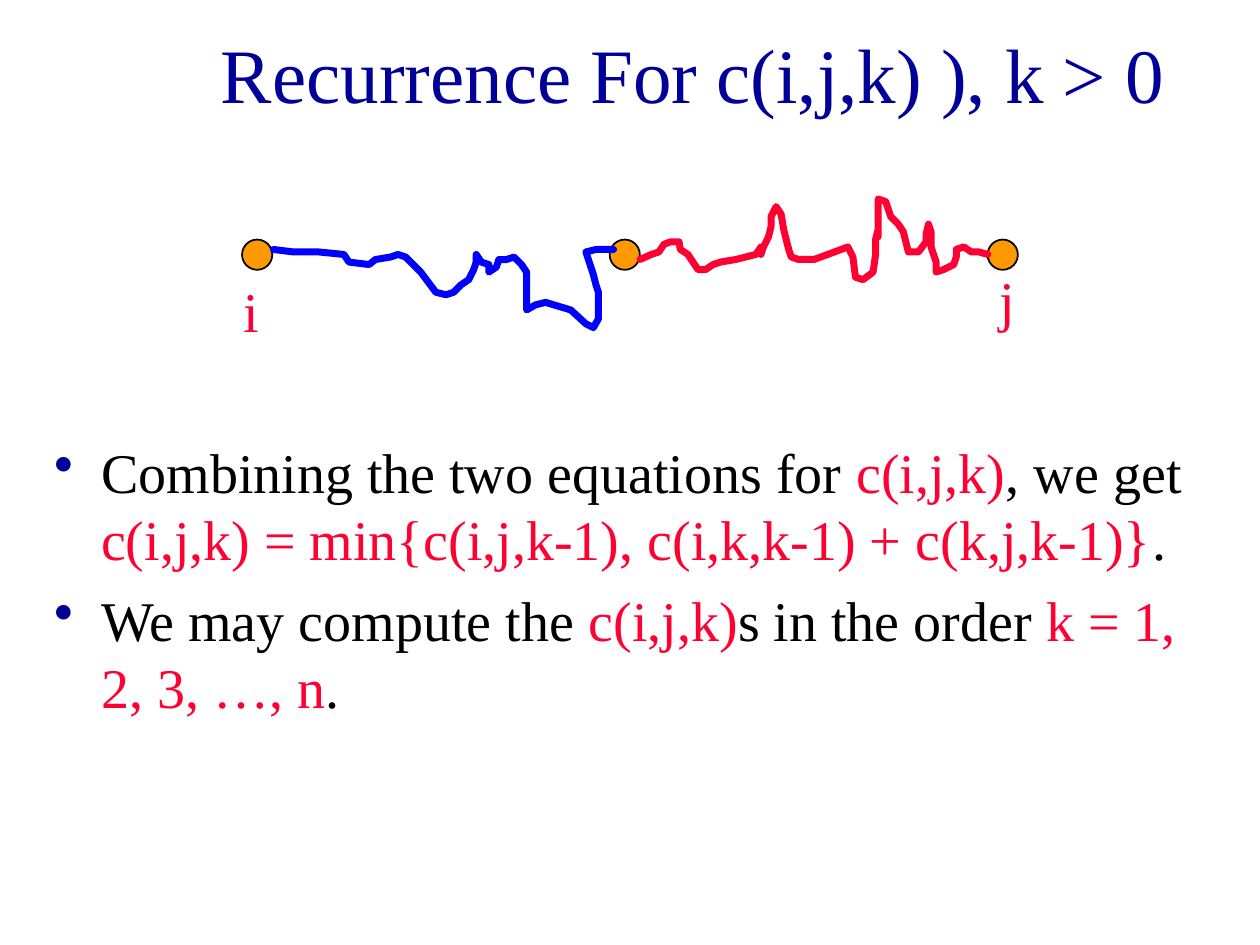
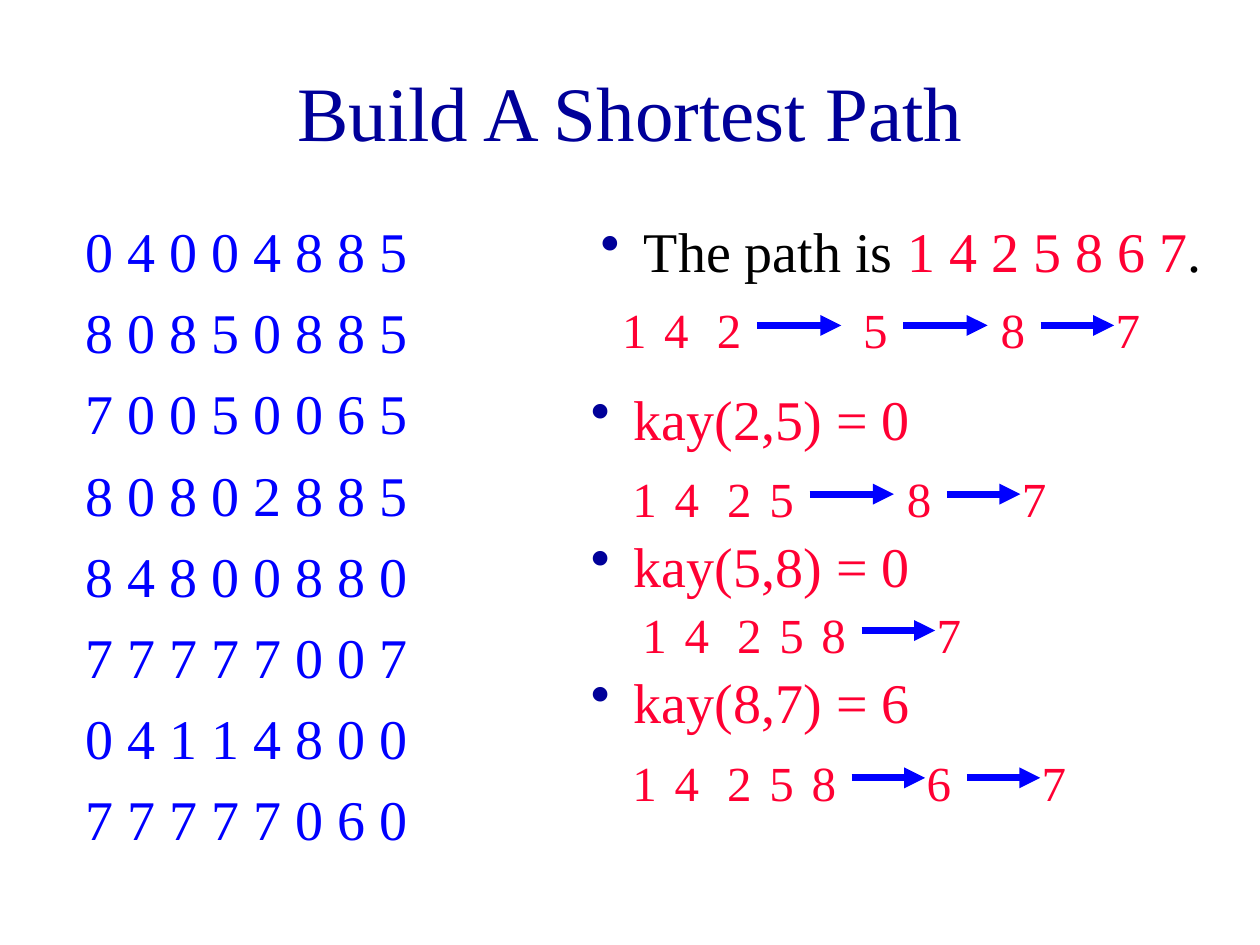
"""Build two slides on the all-pairs shortest path recurrence."""
import pptx
import pptx.util
import pptx.dml.color
import pptx.enum.shapes
import pptx.enum.text
import pptx.oxml
import pptx.oxml.ns
from pptx.util import Cm, Pt

NAVY = pptx.dml.color.RGBColor(0x00, 0x00, 0x99)
BLUE = pptx.dml.color.RGBColor(0x00, 0x00, 0xFF)
RED = pptx.dml.color.RGBColor(0xFF, 0x00, 0x33)
ORANGE = pptx.dml.color.RGBColor(0xFF, 0x99, 0x00)
BLACK = pptx.dml.color.RGBColor(0x00, 0x00, 0x00)
FONT = "Times New Roman"
NS = pptx.oxml.ns.nsdecls("a")


def add_text(slide, place, paragraphs, size=32, before=8, hang=0, grow=False, title=False):
    """Place paragraphs of (text, colour) runs; a hang in cm adds bullets."""
    box = slide.shapes.add_textbox(*[Cm(length) for length in place])
    frame = box.text_frame
    frame.word_wrap = True
    if grow:
        frame.auto_size = pptx.enum.text.MSO_AUTO_SIZE.SHAPE_TO_FIT_TEXT
    if title:
        frame.vertical_anchor = pptx.enum.text.MSO_ANCHOR.MIDDLE
    for index, runs in enumerate(paragraphs):
        paragraph = frame.add_paragraph() if index else frame.paragraphs[0]
        paragraph.space_before = Pt(before)
        if title:
            paragraph.alignment = pptx.enum.text.PP_ALIGN.CENTER
        if hang:
            properties = paragraph._p.get_or_add_pPr()
            properties.set("marL", str(Cm(hang)))
            properties.set("indent", str(-Cm(hang)))
            for bullet in (f'<a:buClr {NS}><a:srgbClr val="{NAVY}"/></a:buClr>',
                           f'<a:buChar {NS} char="•"/>'):
                properties.append(pptx.oxml.parse_xml(bullet))
        for text, colour in runs:
            run = paragraph.add_run()
            run.text = text
            run.font.name = FONT
            run.font.size = Pt(size)
            run.font.color.rgb = colour


def add_arrow(slide, left, y, length):
    """Draw a horizontal arrow pointing right, in cm."""
    arrow = slide.shapes.add_connector(
        pptx.enum.shapes.MSO_CONNECTOR.STRAIGHT, Cm(left), Cm(y), Cm(left + length), Cm(y))
    arrow.line.color.rgb = BLUE
    arrow.line.width = Pt(4)
    properties = arrow._element.spPr
    properties.find(pptx.oxml.ns.qn("a:ln")).append(
        pptx.oxml.parse_xml(f'<a:tailEnd {NS} type="triangle"/>'))
    properties.append(pptx.oxml.parse_xml(f"<a:effectLst {NS}/>"))


deck = pptx.Presentation()
deck.slide_width, deck.slide_height = Cm(25.4), Cm(19.05)
blank = deck.slide_layouts[6]

recurrence = deck.slides.add_slide(blank)
add_text(recurrence, (3.18, 0.2, 21.59, 2.54),
         [[("Recurrence For c(i,j,k) ), k > 0", NAVY)]], size=44, before=0, title=True)
add_text(recurrence, (0.84, 8.69, 23.5, 7.85), [
    [("Combining the two equations for ", BLACK), ("c(i,j,k)", RED), (", we get ", BLACK),
     ("c(i,j,k) = min{c(i,j,k-1), c(i,k,k-1) + c(k,j,k-1)}", RED), (".", BLACK)],
    [("We may compute the ", BLACK), ("c(i,j,k)", RED), ("s in the order ", BLACK),
     ("k = 1, 2, 3, …, n", RED), (".", BLACK)],
], hang=0.95)

for vertex_left in (4.88, 12.29, 19.91):
    vertex = recurrence.shapes.add_shape(
        pptx.enum.shapes.MSO_SHAPE.OVAL, Cm(vertex_left), Cm(4.83), Cm(0.61), Cm(0.61))
    vertex.shadow.inherit = False
    vertex.fill.solid()
    vertex.fill.fore_color.rgb = ORANGE
    vertex.line.color.rgb = BLACK
    vertex.line.width = Pt(1)

# Route points are hundredths of 2.54 cm.
path_i_to_k = [
    (217, 198), (233, 200), (253, 200), (273, 202), (277, 208), (293, 210), (298, 206),
    (310, 204), (316, 202), (322, 204), (334, 216), (346, 232), (354, 234), (360, 232),
    (366, 226), (372, 222), (376, 214), (378, 208), (378, 202), (382, 208), (388, 210),
    (388, 216), (394, 212), (396, 206), (402, 206), (408, 204), (414, 210), (418, 216),
    (418, 246), (425, 242), (433, 240), (453, 246), (465, 257), (471, 260), (475, 253),
    (475, 232), (473, 226), (471, 218), (467, 206), (465, 200), (473, 198), (487, 198)]
path_k_to_j = [
    (508, 206), (517, 202), (523, 200), (527, 194), (532, 192), (539, 192), (540, 198),
    (546, 202), (550, 208), (554, 214), (560, 214), (566, 210), (572, 208), (584, 206),
    (600, 202), (604, 196), (604, 202), (606, 196), (610, 188), (612, 180), (612, 172),
    (616, 164), (620, 170), (622, 182), (626, 198), (628, 204), (634, 206), (646, 206),
    (657, 202), (673, 196), (677, 204), (679, 220), (685, 222), (693, 216), (695, 202),
    (695, 190), (697, 182), (697, 188), (697, 158), (703, 160), (707, 172), (713, 178),
    (717, 184), (721, 200), (729, 200), (735, 192), (735, 186), (737, 178), (739, 184),
    (739, 196), (743, 208), (743, 216), (749, 214), (757, 210), (759, 204), (759, 198),
    (765, 196), (771, 200), (777, 200), (784, 202)]
for points, colour in ((path_i_to_k, BLUE), (path_k_to_j, RED)):
    builder = recurrence.shapes.build_freeform(*points[0], scale=Cm(2.54) / 100)
    builder.add_line_segments(points[1:], close=False)
    subpath = builder.convert_to_shape()
    subpath.shadow.inherit = False
    subpath.fill.background()
    subpath.line.color.rgb = colour
    subpath.line.width = Pt(4)
    subpath._element.spPr.find(pptx.oxml.ns.qn("a:ln")).set("cap", "rnd")

for endpoint, left, top in (("i", 4.65, 5.44), ("j", 19.89, 5.23)):
    add_text(recurrence, (left, top, 0.64, 1.6), [[(endpoint, RED)]], before=20, grow=True)

shortest = deck.slides.add_slide(blank)
add_text(shortest, (1.91, 0.64, 21.59, 3.18),
         [[("Build A Shortest Path", NAVY)]], size=44, before=0, title=True)
kay_rows = ["0 4 0 0 4 8 8 5", "8 0 8 5 0 8 8 5", "7 0 0 5 0 0 6 5", "8 0 8 0 2 8 8 5",
            "8 4 8 0 0 8 8 0", "7 7 7 7 7 0 0 7", "0 4 1 1 4 8 0 0", "7 7 7 7 7 0 6 0"]
add_text(shortest, (1.47, 4.24, 8.05, 13.13), [[(row, BLUE)] for row in kay_rows])

advance = {"1": 0, "4": 0.85, "2": 1.06, "5": 0.85, "8": 0.85,
           ">5": 2.95, ">8": 2.77, ">6": 2.32, ">7": 2.32}
arrow_length = {">5": 1.7, ">8": 1.7, ">6": 1.48, ">7": 1.48}
path_statement = [("The path is ", BLACK), ("1 4 2 5 8 6 7", RED), (".", BLACK)]
steps = [
    (path_statement, 11.86, 4.24, "1 4 2 >5 >8 >7", 12.29, 5.92),
    ([("kay(2,5) = 0", RED)], 11.66, 7.62, "1 4 2 5 >8 >7", 12.5, 9.32),
    ([("kay(5,8) = 0", RED)], 11.66, 10.59, "1 4 2 5 8 >7", 12.7, 12.07),
    ([("kay(8,7) = 6", RED)], 11.66, 13.34, "1 4 2 5 8 >6 >7", 12.5, 15.04),
]
for statement, statement_left, statement_top, route, left, top in steps:
    add_text(shortest, (statement_left, statement_top, 12.9, 1.6), [statement],
             hang=0.87, grow=True)
    for stop in route.split():
        if stop in arrow_length:
            add_arrow(shortest, left + 1.06, top + 0.64, arrow_length[stop])
        left += advance[stop]
        add_text(shortest, (left, top, 1.07, 1.45), [[(stop.strip(">"), RED)]],
                 size=28, before=17.5, grow=True)

deck.save("out.pptx")
